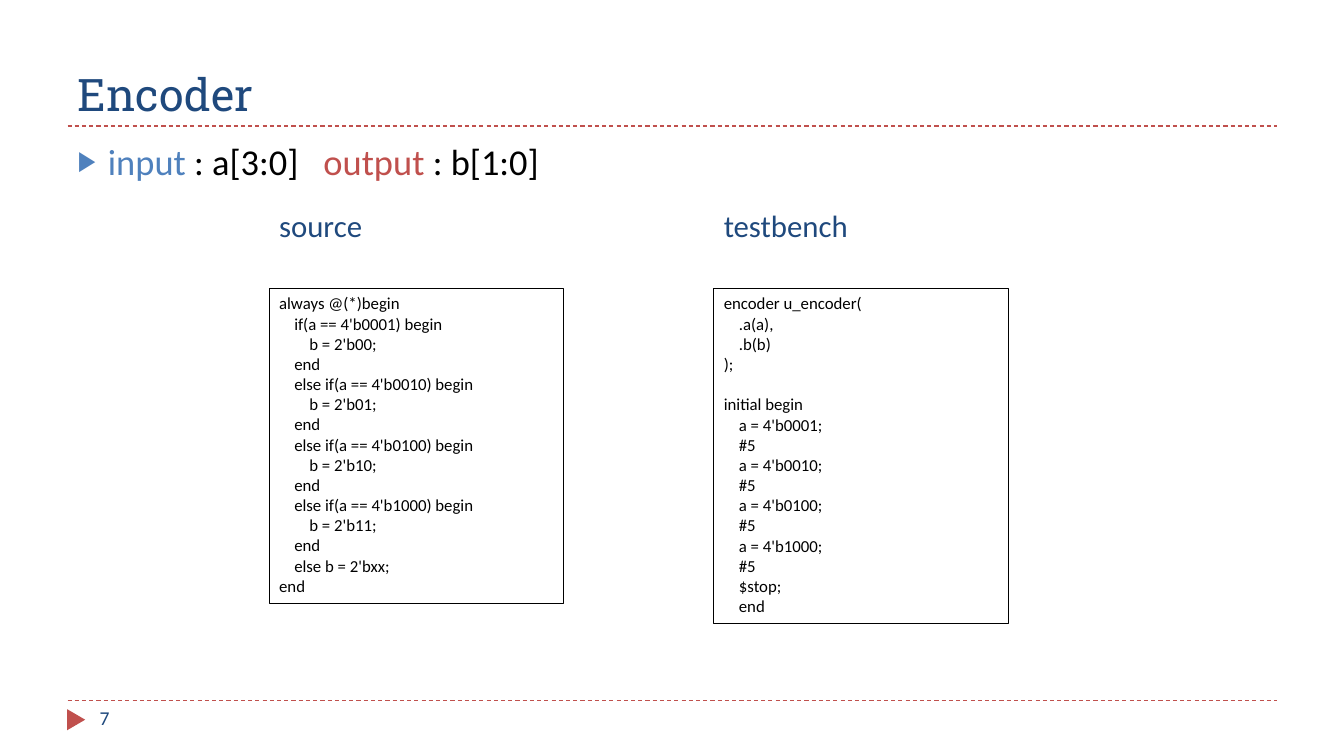
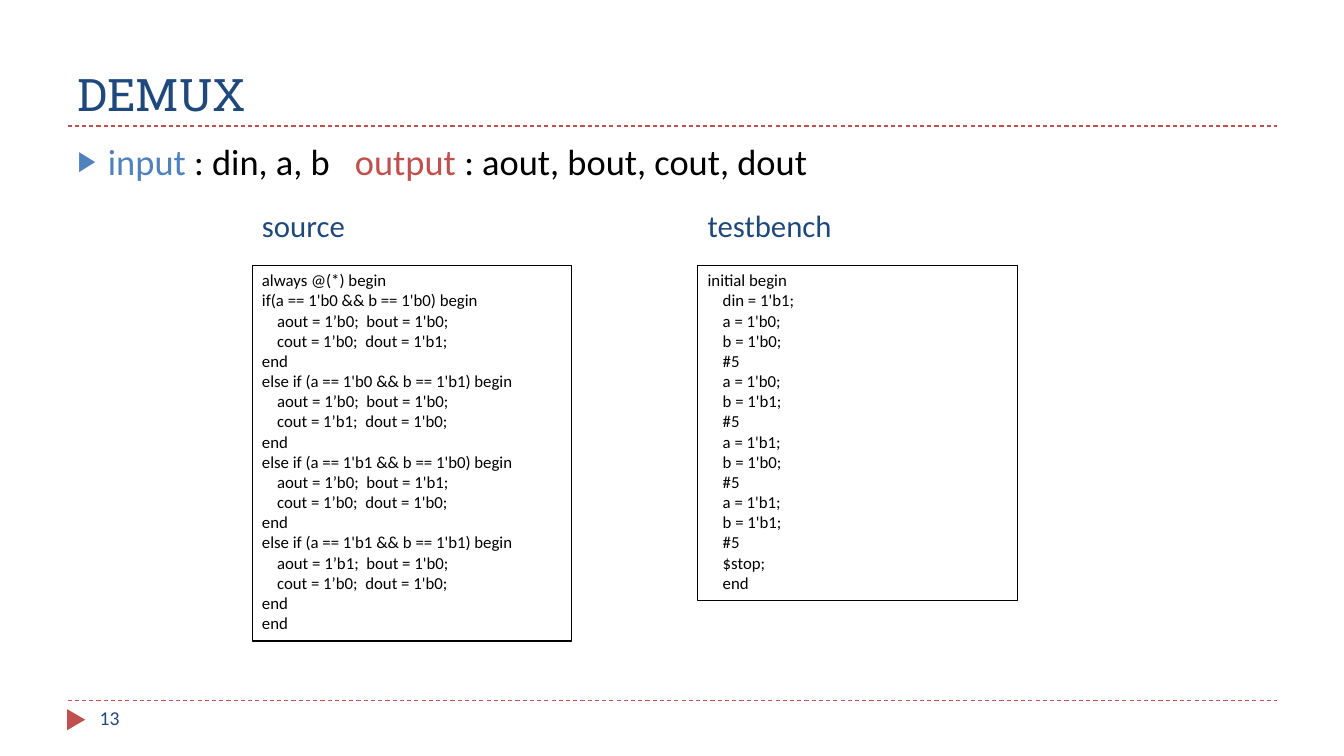
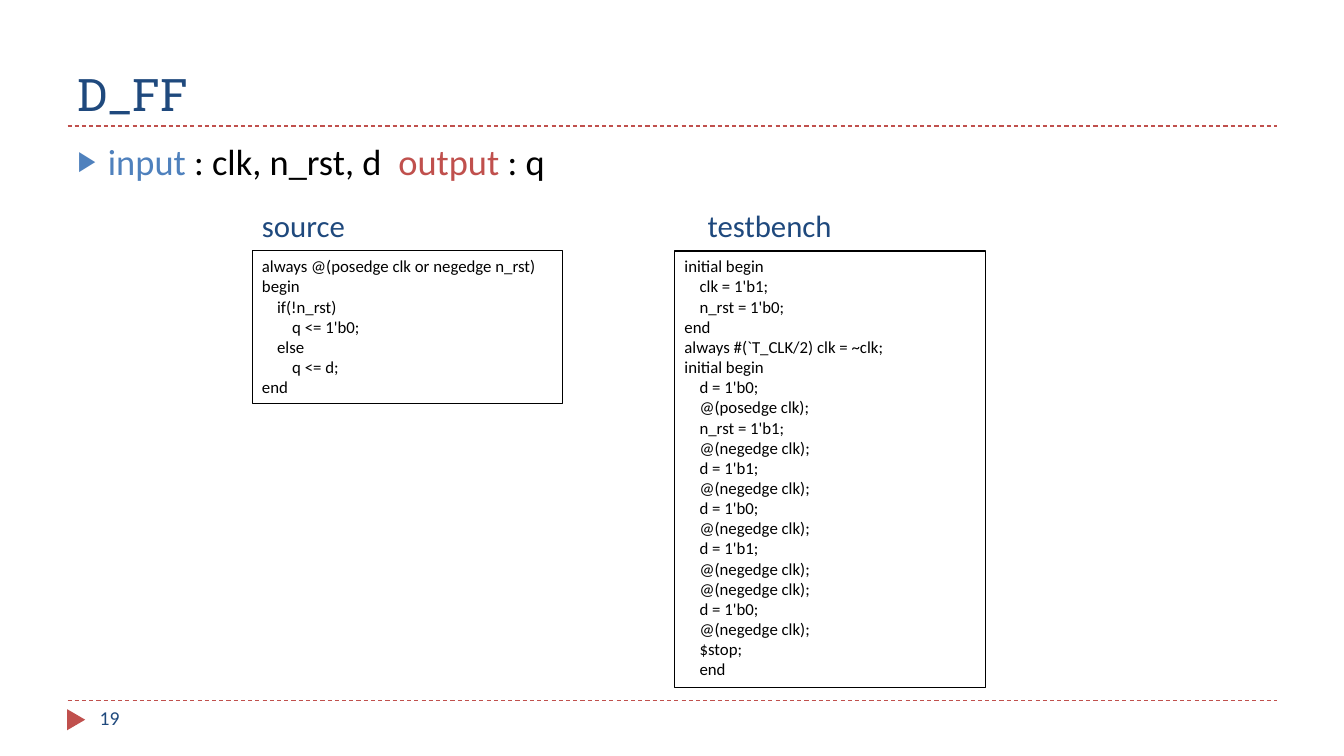
"""Build three slides that pair hardware description code with its testbench."""
from lxml import etree
from pptx import Presentation
from pptx.dml.color import RGBColor
from pptx.enum.dml import MSO_LINE
from pptx.enum.shapes import MSO_CONNECTOR, MSO_SHAPE
from pptx.enum.text import MSO_ANCHOR, MSO_AUTO_SIZE, PP_ALIGN
from pptx.oxml.ns import qn
from pptx.util import Inches, Pt

DASH = MSO_LINE.DASH
STRAIGHT = MSO_CONNECTOR.STRAIGHT
TRIANGLE = MSO_SHAPE.ISOSCELES_TRIANGLE
BOTTOM, TOP = MSO_ANCHOR.BOTTOM, MSO_ANCHOR.TOP
NO_FIT, GROW = MSO_AUTO_SIZE.NONE, MSO_AUTO_SIZE.SHAPE_TO_FIT_TEXT
LEFT = PP_ALIGN.LEFT

COLORS = {"navy": "1F497D", "blue": "4F81BD", "red": "C0504D", "black": "000000"}
TITLE_FONT, TEXT_FONT = "Roboto Slab", "Calibri"
CODE_SIZE = 12
CODE_LINE = CODE_SIZE * 1.21 / 72
CODE_INDENT = 0.15
MARGIN, CONTENT_WIDTH = 0.67, 12

ENCODER_SOURCE = """
always @(*)begin
    if(a == 4'b0001) begin
        b = 2'b00;
    end
    else if(a == 4'b0010) begin
        b = 2'b01;
    end
    else if(a == 4'b0100) begin
        b = 2'b10;
    end
    else if(a == 4'b1000) begin
        b = 2'b11;
    end
    else b = 2'bxx;
end
"""

ENCODER_TESTBENCH = """
encoder u_encoder(
    .a(a),
    .b(b)
);

initial begin
    a = 4'b0001;
    #5
    a = 4'b0010;
    #5
    a = 4'b0100;
    #5
    a = 4'b1000;
    #5
    $stop;
    end
"""

DEMUX_SOURCE = """
always @(*) begin
if(a == 1'b0 && b == 1'b0) begin
    aout = 1’b0;  bout = 1'b0;
    cout = 1’b0;  dout = 1'b1;
end
else if (a == 1'b0 && b == 1'b1) begin
    aout = 1’b0;  bout = 1'b0;
    cout = 1’b1;  dout = 1'b0;
end
else if (a == 1'b1 && b == 1'b0) begin
    aout = 1’b0;  bout = 1'b1;
    cout = 1’b0;  dout = 1'b0;
end
else if (a == 1'b1 && b == 1'b1) begin
    aout = 1’b1;  bout = 1'b0;
    cout = 1’b0;  dout = 1'b0;
end
end
"""

DEMUX_TESTBENCH = """
initial begin
    din = 1'b1;
    a = 1'b0;
    b = 1'b0;
    #5
    a = 1'b0;
    b = 1'b1;
    #5
    a = 1'b1;
    b = 1'b0;
    #5
    a = 1'b1;
    b = 1'b1;
    #5
    $stop;
    end
"""

FLIP_FLOP_SOURCE = """
always @(posedge clk or negedge n_rst)
begin
    if(!n_rst)
        q <= 1'b0;
    else
        q <= d;
end
"""

FLIP_FLOP_TESTBENCH = """
initial begin
    clk = 1'b1;
    n_rst = 1'b0;
end
always #(`T_CLK/2) clk = ~clk;
initial begin
    d = 1'b0;
    @(posedge clk);
    n_rst = 1'b1;
    @(negedge clk);
    d = 1'b1;
    @(negedge clk);
    d = 1'b0;
    @(negedge clk);
    d = 1'b1;
    @(negedge clk);
    @(negedge clk);
    d = 1'b0;
    @(negedge clk);
    $stop;
    end
"""

PAGES = [
    {"title": "Encoder", "number": 7,
     "inputs": " : a[3:0]   ", "outputs": " : b[1:0]",
     "label_lefts": (2.67, 7.08), "code_lefts": (2.67, 7.08),
     "code_top": 2.86, "code_width": 2.92,
     "codes": (ENCODER_SOURCE, ENCODER_TESTBENCH)},
    {"title": "DEMUX", "number": 13,
     "inputs": " : din, a, b   ", "outputs": " : aout, bout, cout, dout",
     "label_lefts": (2.5, 6.92), "code_lefts": (2.5, 6.92),
     "code_top": 2.63, "code_width": 3.17,
     "codes": (DEMUX_SOURCE, DEMUX_TESTBENCH)},
    {"title": "D_FF", "number": 19,
     "inputs": " : clk, n_rst, d  ", "outputs": " : q",
     "label_lefts": (2.5, 6.92), "code_lefts": (2.5, 6.69),
     "code_top": 2.49, "code_width": 3.08,
     "codes": (FLIP_FLOP_SOURCE, FLIP_FLOP_TESTBENCH)},
]


def color(name):
    return RGBColor.from_string(COLORS[name])


class SlideWriter:
    def __init__(self):
        self.deck = Presentation()
        self.deck.slide_width = Inches(13.33)
        self.deck.slide_height = Inches(7.5)
        self.page = None

    def start(self, number):
        self.page = self.deck.slides.add_slide(self.deck.slide_layouts[1])
        for height in (6.95, 1.25):
            self.rule(height)
        self.marker()
        self.text(str(number), 0.89, 6.95, 2.89, 0.4, 14)

    def style(self, span, size, shade, font=TEXT_FONT):
        span.font.size = Pt(size)
        span.font.name = font
        span.font.color.rgb = color(shade)

    def place(self, box, left, top, width, height):
        box.left, box.top = Inches(left), Inches(top)
        box.width, box.height = Inches(width), Inches(height)

    def rule(self, height):
        line = self.page.shapes.add_connector(
            STRAIGHT, Inches(MARGIN), Inches(height),
            Inches(MARGIN + CONTENT_WIDTH), Inches(height))
        line.line.color.rgb = color("red")
        line.line.width = Pt(0.75)
        line.line.dash_style = DASH
        etree.SubElement(line._element.spPr, qn("a:effectLst"))

    def marker(self):
        marker = self.page.shapes.add_shape(
            TRIANGLE, Inches(0.65), Inches(7.05), Inches(0.21), Inches(0.18))
        marker.rotation = 90
        marker.shadow.inherit = False
        marker.fill.solid()
        marker.fill.fore_color.rgb = color("red")
        marker.line.fill.background()

    def title(self, words):
        box = self.page.shapes.title
        self.place(box, MARGIN, 0.17, CONTENT_WIDTH, 1.08)
        frame = box.text_frame
        frame.text = words
        frame.auto_size = NO_FIT
        frame.vertical_anchor = BOTTOM
        para = frame.paragraphs[0]
        para.alignment = LEFT
        self.style(para.runs[0], 32, "navy", TITLE_FONT)

    def ports(self, inputs, outputs):
        box = self.page.placeholders[1]
        self.place(box, MARGIN, 1.33, CONTENT_WIDTH, 5.4)
        box.text_frame.auto_size = NO_FIT
        para = box.text_frame.paragraphs[0]
        para.space_before = Pt(6)
        for words, shade in (("input", "blue"), (inputs, "black"),
                             ("output", "red"), (outputs, "black")):
            span = para.add_run()
            span.text = words
            self.style(span, 26, shade)
        self.bullet(para)

    def bullet(self, para):
        properties = para._p.get_or_add_pPr()
        properties.set("marL", str(Inches(0.3)))
        properties.set("indent", str(Inches(-0.3)))
        shade = etree.SubElement(properties, qn("a:buClr"))
        etree.SubElement(shade, qn("a:srgbClr"), val=COLORS["blue"])
        etree.SubElement(properties, qn("a:buSzPct"), val="76000")
        etree.SubElement(properties, qn("a:buChar"), char="▶")

    def text(self, words, left, top, width, height, size, shade="navy"):
        box = self.page.shapes.add_textbox(0, 0, 0, 0)
        self.place(box, left, top, width, height)
        frame = box.text_frame
        frame.word_wrap = True
        frame.vertical_anchor = TOP
        frame.text = words
        for para in frame.paragraphs:
            for span in para.runs:
                self.style(span, size, shade)
        return box

    def code(self, listing, left, top, width):
        lines = listing.strip().splitlines()
        words = "\n".join(line.strip() for line in lines if line)
        box = self.text(words, left, top, width,
                        0.1 + CODE_LINE * len(lines), CODE_SIZE, "black")
        box.text_frame.auto_size = GROW
        box.line.color.rgb = color("black")
        box.line.width = Pt(0.75)
        paragraphs = iter(box.text_frame.paragraphs)
        gap = 0
        for line in lines:
            if not line:
                gap += CODE_LINE
                continue
            para = next(paragraphs)
            level = (len(line) - len(line.lstrip())) // 4
            if level:
                para._p.get_or_add_pPr().set("marL", str(Inches(CODE_INDENT * level)))
            if gap:
                para.space_before = Inches(gap)
                gap = 0


def main():
    writer = SlideWriter()
    for content in PAGES:
        writer.start(content["number"])
        writer.title(content["title"])
        writer.ports(content["inputs"], content["outputs"])
        for label, left in zip(("source", "testbench"), content["label_lefts"]):
            writer.text(label, left, 2, 2.25, 0.47, 22)
        for listing, left in zip(content["codes"], content["code_lefts"]):
            writer.code(listing, left, content["code_top"], content["code_width"])
    writer.deck.save("out.pptx")


if __name__ == "__main__":
    main()
